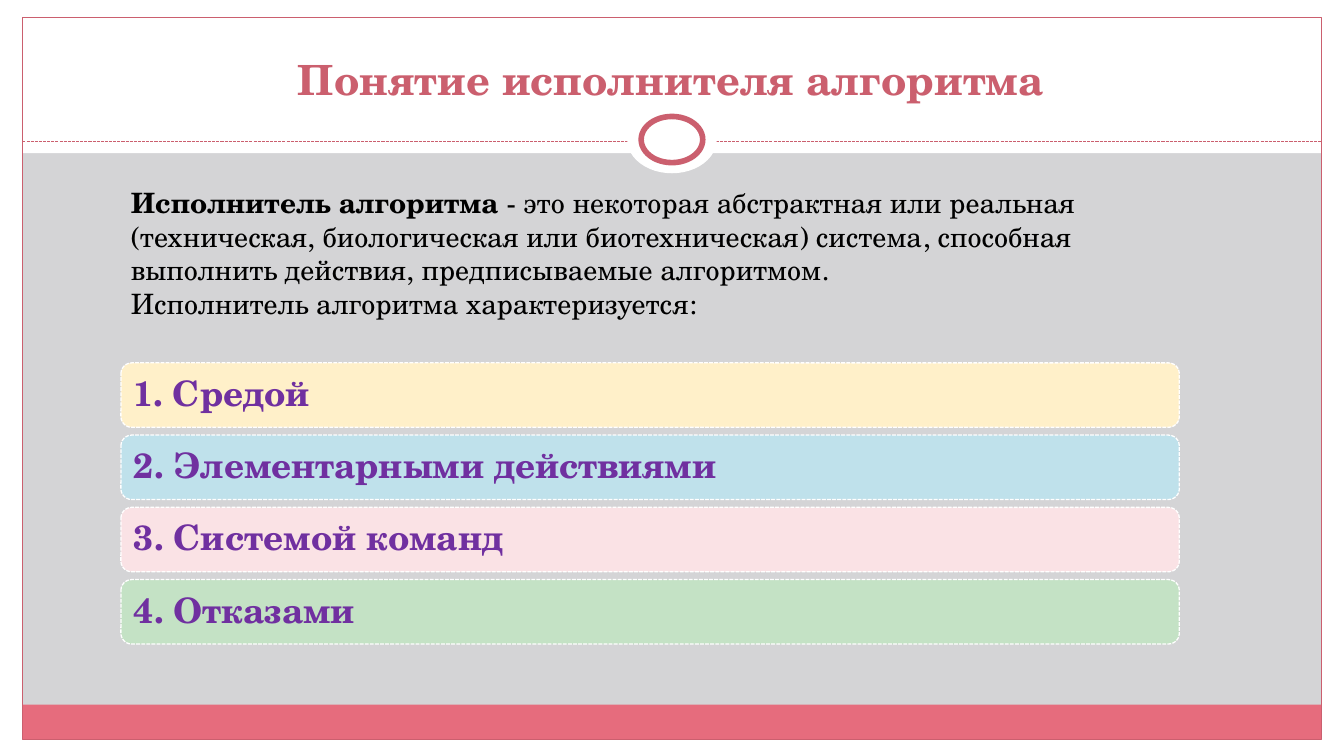
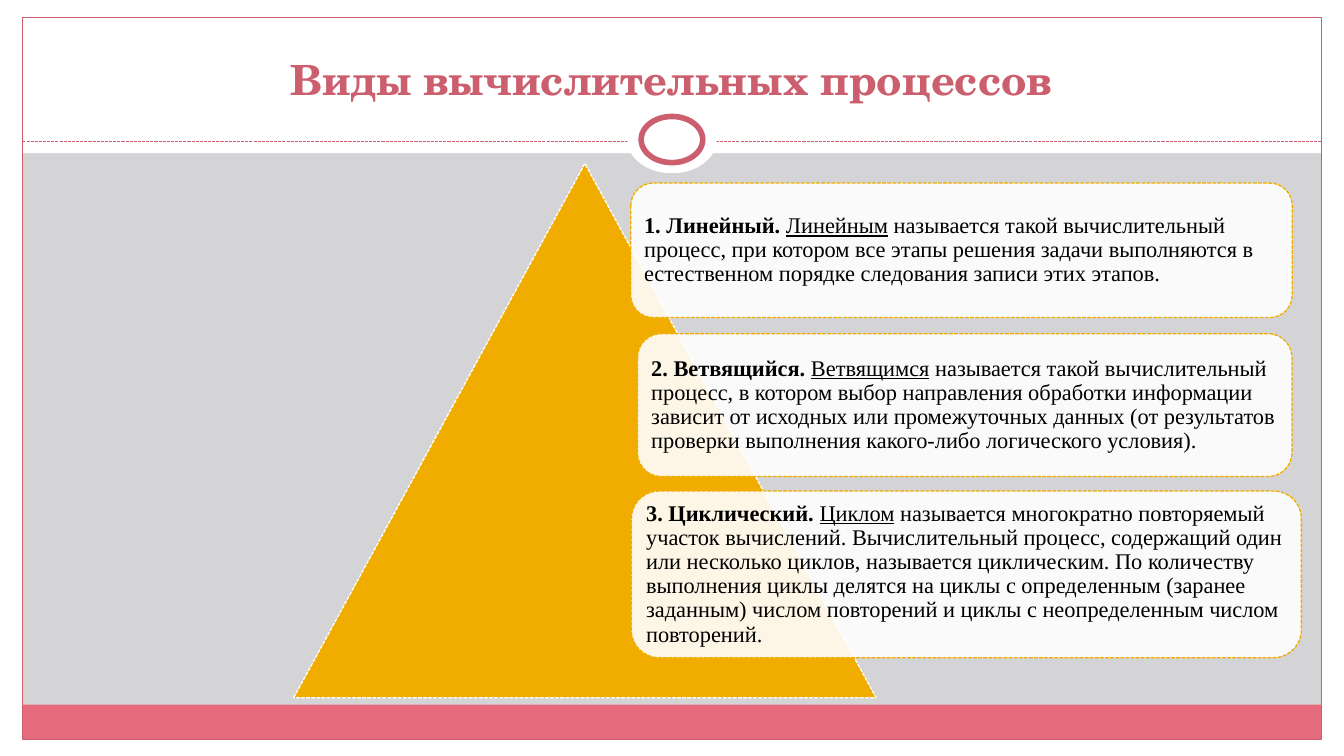
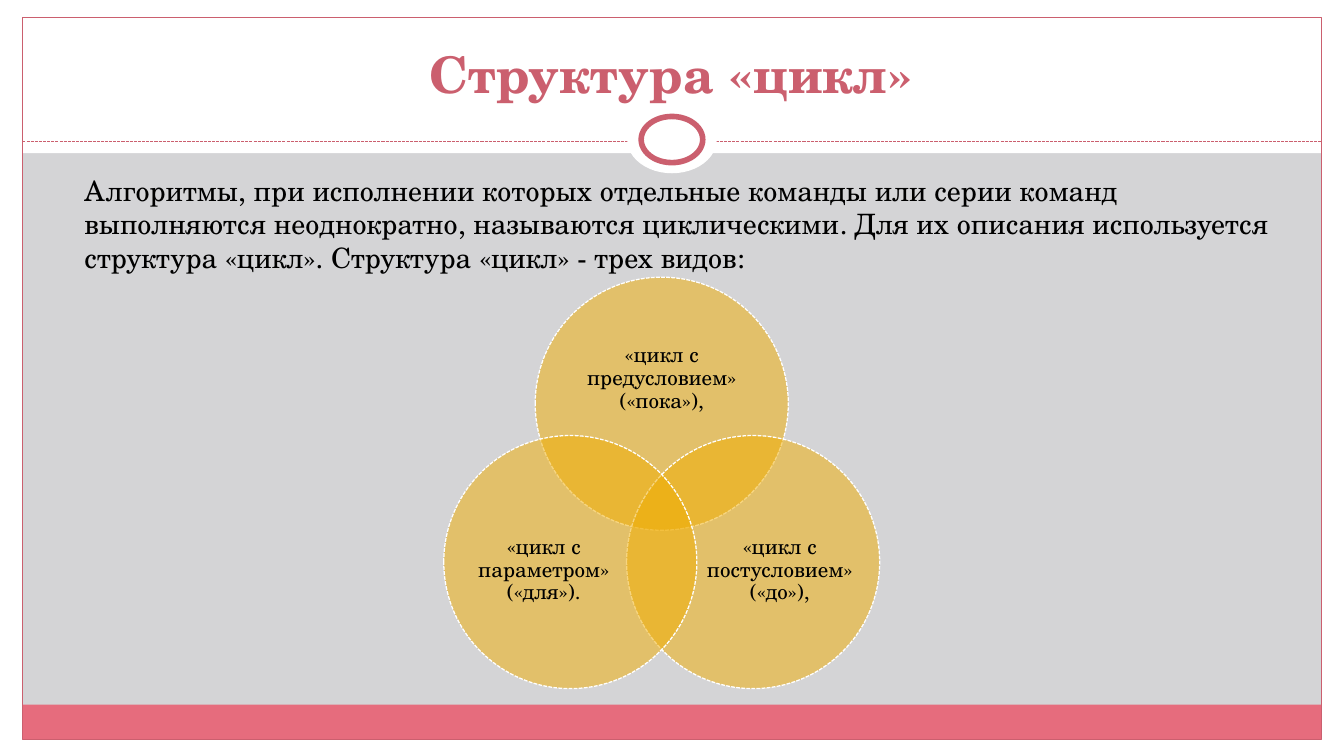
import math
from dataclasses import dataclass

from lxml import etree
from pptx import Presentation
from pptx import util as u
from pptx.dml import color
from pptx.enum import dml, shapes, text
from pptx.oxml import ns


@dataclass(frozen=True)
class Theme:
    page: str = "D4D4D6"
    white: str = "FFFFFF"
    black: str = "000000"
    accent: str = "CB5F6E"
    band: str = "E66C7D"
    gold: str = "F0AD00"
    purple: str = "7030A0"
    serif: str = "TeX Gyre Schola"
    roman: str = "Times New Roman"
    title: float = 29.7
    large_title: float = 36
    bar: float = 25
    body: float = 20
    definition: float = 16
    circle: float = 15
    thin: float = 0.75
    dashed: float = 0.9
    ring: float = 4


THEME = Theme()
WIDTH, HEIGHT = 960, 540
MARGIN, TOP, BOTTOM = 16, 12.2, 528
HEADER, RULE, BAND_TOP = 109.4, 100.8, 503.3
RING_CENTER = (WIDTH / 2, 99.7)
TITLE_BOX = (31.7, 18, 895.7, 59.8)

PLAIN = {}
BOLD = {"bold": True}
UNDERLINE = {"underline": True}
CENTER = {"alignment": text.PP_ALIGN.CENTER}
TIGHT = {"line_spacing": 0.9}

PERFORMER_TITLE = "Понятие исполнителя алгоритма"
PERFORMER_TEXT = [
    [
        ("Исполнитель алгоритма", BOLD),
        (" - это некоторая абстрактная или реальная (техническая, биологическая "
         "или биотехническая) система, способная выполнить действия, "
         "предписываемые алгоритмом.", PLAIN),
    ],
    [("Исполнитель алгоритма характеризуется:", PLAIN)],
]
TRAITS = [
    ("1. Средой", "FFF0C9"),
    ("2. Элементарными действиями", "BFE1EB"),
    ("3. Системой команд", "FAE2E5"),
    ("4. Отказами", "C4E2C5"),
]

PROCESS_TITLE = "Виды вычислительных процессов"
PROCESSES = [
    ((450.6, 130.8, 472.4, 96), "1. Линейный. ", "Линейным",
     " называется такой вычислительный процесс, при котором все этапы решения "
     "задачи выполняются в естественном порядке следования записи этих этапов."),
    ((455.4, 238.4, 467.4, 102), "2. Ветвящийся. ", "Ветвящимся",
     " называется такой вычислительный процесс, в котором выбор направления "
     "обработки информации зависит от исходных или промежуточных данных "
     "(от результатов проверки выполнения какого-либо логического условия)."),
    ((451, 350.8, 478.6, 119), "3. Циклический. ", "Циклом",
     " называется многократно повторяемый участок вычислений. Вычислительный "
     "процесс, содержащий один или несколько циклов, называется циклическим. "
     "По количеству выполнения циклы делятся на циклы с определенным (заранее "
     "заданным) числом повторений и циклы с неопределенным числом повторений."),
]

LOOP_TITLE = "Структура «цикл»"
LOOP_TEXT = (
    "Алгоритмы, при исполнении которых отдельные команды или серии команд "
    "выполняются неоднократно, называются циклическими. Для их описания "
    "используется структура «цикл». Структура «цикл» - трех видов:"
)
LOOPS = [
    ("«цикл с предусловием» («пока»),", (0, -18), (132.5, 81)),
    ("«цикл с постусловием» («до»),", (19, 6), (108.7, 99.4)),
    ("«цикл с параметром» («для»).", (-19, 6), (108.7, 99.4)),
]


def rgb(value):
    return color.RGBColor.from_string(value)


def points(values):
    return [u.Pt(value) for value in values]


def around(center, size):
    return center[0] - size[0] / 2, center[1] - size[1] / 2, *size


def apply(target, values):
    for name, value in values.items():
        setattr(target, name, value)


def draw_line(line, shade, width, dashed=False):
    line.color.rgb = rgb(shade)
    line.width = u.Pt(width)
    if dashed:
        line.dash_style = dml.MSO_LINE.SQUARE_DOT


def add_shape(slide, kind, box, fill=None, line=None, alpha=None):
    shape = slide.shapes.add_shape(kind, *points(box))
    shape.shadow.inherit = False
    if fill:
        shape.fill.solid()
        shape.fill.fore_color.rgb = rgb(fill)
    else:
        shape.fill.background()
    if alpha:
        shade = shape.fill._xPr.find(".//" + ns.qn("a:srgbClr"))
        etree.SubElement(shade, ns.qn("a:alpha"), val=str(alpha * 1000))
    if line:
        draw_line(shape.line, *line)
    else:
        shape.line.fill.background()
    return shape


def write(shape, paragraphs, size, shade=THEME.black, family=THEME.serif,
          layout=PLAIN, insets=(7.2, 3.6), anchor=text.MSO_ANCHOR.TOP):
    frame = shape.text_frame
    side, edge = points(insets)
    apply(frame, {"word_wrap": True, "vertical_anchor": anchor,
                  "margin_left": side, "margin_right": side,
                  "margin_top": edge, "margin_bottom": edge})
    for index, runs in enumerate(paragraphs):
        paragraph = frame.add_paragraph() if index else frame.paragraphs[0]
        apply(paragraph, {"alignment": text.PP_ALIGN.LEFT, **layout})
        for words, style in runs:
            run = paragraph.add_run()
            run.text = words
            apply(run.font, {"name": family, "size": u.Pt(size), **style})
            run.font.color.rgb = rgb(shade)


def add_text(slide, box, paragraphs, size, **options):
    write(slide.shapes.add_textbox(*points(box)), paragraphs, size, **options)


def add_page(presentation, title, title_size=THEME.title):
    slide = presentation.slides.add_slide(presentation.slide_layouts[6])
    slide.background.fill.solid()
    slide.background.fill.fore_color.rgb = rgb(THEME.page)
    rectangle, ellipse = shapes.MSO_SHAPE.RECTANGLE, shapes.MSO_SHAPE.OVAL
    inner = WIDTH - 2 * MARGIN
    for box in [
        (0, BOTTOM, WIDTH, HEIGHT - BOTTOM),
        (0, 0, WIDTH, HEADER),
        (0, 0, MARGIN, HEIGHT),
        (WIDTH - MARGIN, 0, MARGIN, HEIGHT),
    ]:
        add_shape(slide, rectangle, box, THEME.white)
    add_shape(slide, rectangle, (MARGIN, BAND_TOP, inner, BOTTOM - BAND_TOP), THEME.band)
    add_shape(slide, rectangle, (MARGIN, TOP, inner, BOTTOM - TOP),
              line=(THEME.accent, THEME.thin))
    rule = slide.shapes.add_connector(
        shapes.MSO_CONNECTOR.STRAIGHT, *points((MARGIN, RULE, WIDTH - MARGIN, RULE)))
    draw_line(rule.line, THEME.accent, THEME.thin, True)
    etree.SubElement(rule._element.spPr, ns.qn("a:effectLst"))
    add_shape(slide, ellipse, around(RING_CENTER, (64, 48.2)), THEME.white)
    add_shape(slide, ellipse, around(RING_CENTER, (44, 33)), THEME.white,
              (THEME.accent, THEME.ring))
    add_text(slide, TITLE_BOX, [[(title, BOLD)]], title_size, shade=THEME.accent,
             layout=CENTER, anchor=text.MSO_ANCHOR.BOTTOM)
    return slide


def add_performer(presentation):
    slide = add_page(presentation, PERFORMER_TITLE)
    left, top, width, height, pitch = 86.4, 259.2, 756, 46, 51.6
    for index, (words, fill) in enumerate(TRAITS):
        bar = add_shape(slide, shapes.MSO_SHAPE.ROUNDED_RECTANGLE,
                        (left, top + index * pitch, width, height), fill,
                        (THEME.white, THEME.dashed, True))
        write(bar, [[(words, BOLD)]], THEME.bar, THEME.purple, layout=TIGHT,
              insets=(7.2, 7.2), anchor=text.MSO_ANCHOR.MIDDLE)
    add_text(slide, (left, 128.9, 785.5, 126), PERFORMER_TEXT, THEME.body)


def add_processes(presentation):
    slide = add_page(presentation, PROCESS_TITLE)
    add_shape(slide, shapes.MSO_SHAPE.ISOSCELES_TRIANGLE, (209.8, 116.8, 416, 381.6),
              THEME.gold, (THEME.white, THEME.dashed, True))
    for box, name, term, meaning in PROCESSES:
        card = add_shape(slide, shapes.MSO_SHAPE.ROUNDED_RECTANGLE, box, THEME.white,
                         (THEME.gold, THEME.dashed, True), alpha=90)
        write(card, [[(name, BOLD), (term, UNDERLINE), (meaning, PLAIN)]],
              THEME.definition, family=THEME.roman, layout=TIGHT, insets=(4.8, 4.8),
              anchor=text.MSO_ANCHOR.MIDDLE)


def add_loops(presentation):
    slide = add_page(presentation, LOOP_TITLE, THEME.large_title)
    add_text(slide, (53.3, 120.2, 871.2, 88.6), [[(LOOP_TEXT, PLAIN)]], THEME.body)
    middle_x, middle_y, orbit, diameter = 472.7, 363.8, 75.4, 180.8
    for index, (words, shift, size) in enumerate(LOOPS):
        angle = math.radians(index * 360 / len(LOOPS) - 90)
        x = middle_x + orbit * math.cos(angle)
        y = middle_y + orbit * math.sin(angle)
        add_shape(slide, shapes.MSO_SHAPE.OVAL, around((x, y), (diameter, diameter)),
                  THEME.gold, (THEME.white, THEME.dashed, True), alpha=50)
        add_text(slide, around((x + shift[0], y + shift[1]), size), [[(words, PLAIN)]],
                 THEME.circle, layout={**CENTER, **TIGHT}, insets=(0, 0),
                 anchor=text.MSO_ANCHOR.MIDDLE)


def main():
    presentation = Presentation()
    apply(presentation, {"slide_width": u.Pt(WIDTH), "slide_height": u.Pt(HEIGHT)})
    for build in (add_performer, add_processes, add_loops):
        build(presentation)
    presentation.save("out.pptx")


if __name__ == "__main__":
    main()
